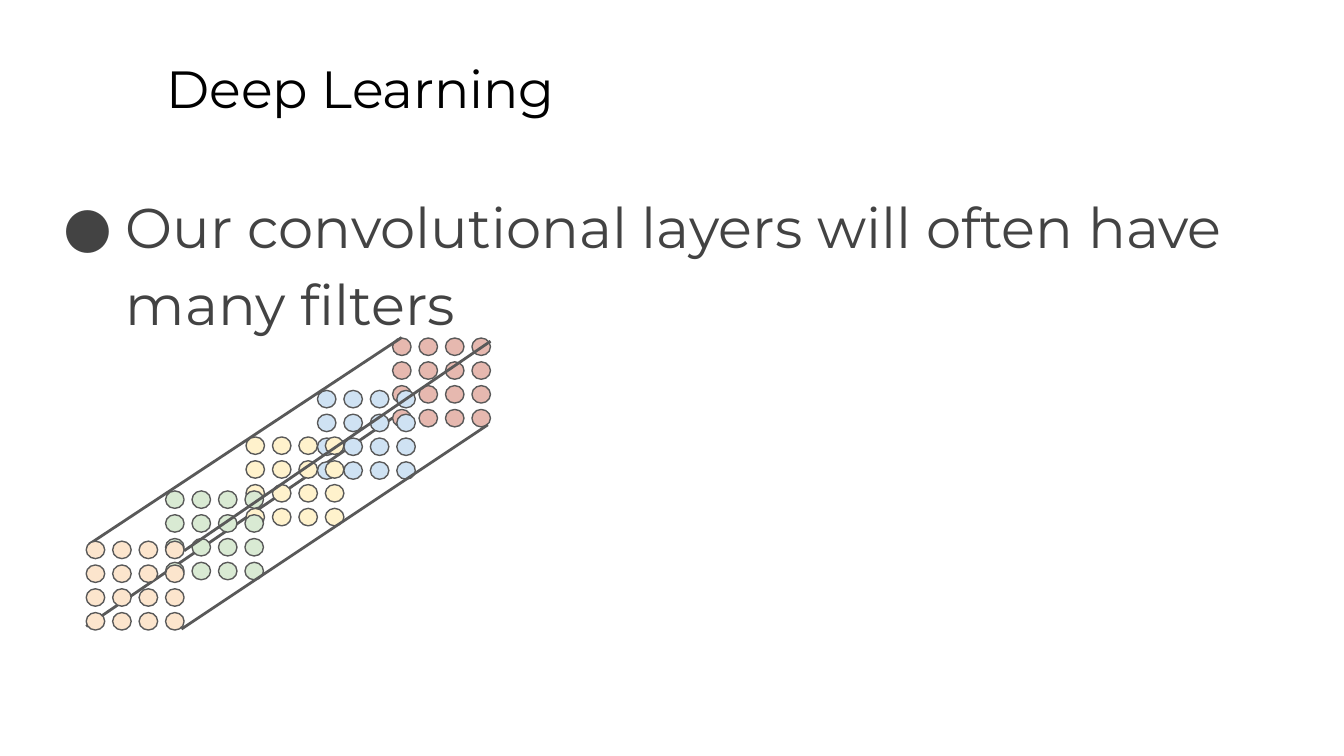
from dataclasses import dataclass

from lxml import etree
from pptx import Presentation
from pptx import util as u
from pptx.dml.color import RGBColor
from pptx.enum import shapes, text
from pptx.oxml import ns
from pptx.slide import Slide
from pptx.text.text import TextFrame

FONT = "Montserrat"
BLACK = RGBColor(0x00, 0x00, 0x00)
DARK_GRAY = RGBColor(0x43, 0x43, 0x43)
OUTLINE = RGBColor(0x59, 0x59, 0x59)
RED = RGBColor(0xE6, 0xB8, 0xAF)
BLUE = RGBColor(0xCF, 0xE2, 0xF3)
YELLOW = RGBColor(0xFF, 0xF2, 0xCC)
GREEN = RGBColor(0xD9, 0xEA, 0xD3)
ORANGE = RGBColor(0xFC, 0xE5, 0xCD)

GRID_SIZE = 4
COLUMN_STEP = 0.5
ROW_STEP = 0.45
NEURON_WIDTH = 0.35
NEURON_HEIGHT = 0.33


@dataclass(frozen=True)
class Filter:
    left: float
    top: float
    color: RGBColor


@dataclass(frozen=True)
class Edge:
    start_x: float
    start_y: float
    end_x: float
    end_y: float


BACK_EDGE = Edge(7.42, 7.9, 1.63, 11.84)
TOP_EDGE = Edge(7.59, 6.38, 1.68, 10.29)
FRONT_EDGES = [Edge(9.27, 6.45, 3.48, 10.41), Edge(9.22, 8.03, 3.43, 11.89)]
LAYERS = [
    BACK_EDGE,
    Filter(7.42, 6.39, RED),
    Filter(6.0, 7.38, BLUE),
    TOP_EDGE,
    Filter(4.65, 8.26, YELLOW),
    Filter(3.13, 9.28, GREEN),
    Filter(1.63, 10.23, ORANGE),
    *FRONT_EDGES,
]


def draw_filter(slide: Slide, item: Filter) -> None:
    for row in range(GRID_SIZE):
        for column in range(GRID_SIZE):
            neuron = slide.shapes.add_shape(
                shapes.MSO_SHAPE.OVAL,
                u.Cm(item.left + column * COLUMN_STEP),
                u.Cm(item.top + row * ROW_STEP),
                u.Cm(NEURON_WIDTH),
                u.Cm(NEURON_HEIGHT),
            )
            neuron.shadow.inherit = False
            neuron.fill.solid()
            neuron.fill.fore_color.rgb = item.color
            neuron.line.color.rgb = OUTLINE
            neuron.line.width = u.Pt(0.75)


def draw_edge(slide: Slide, edge: Edge) -> None:
    connector = slide.shapes.add_connector(
        shapes.MSO_CONNECTOR.STRAIGHT,
        u.Cm(edge.start_x),
        u.Cm(edge.start_y),
        u.Cm(edge.end_x),
        u.Cm(edge.end_y),
    )
    connector.line.color.rgb = OUTLINE
    connector.line.width = u.Pt(1.5)
    etree.SubElement(connector._element.spPr, ns.qn("a:effectLst"))


def write_text(frame: TextFrame, content: str, size: float, color: RGBColor) -> None:
    frame.word_wrap = True
    frame.auto_size = text.MSO_AUTO_SIZE.NONE
    frame.vertical_anchor = text.MSO_ANCHOR.TOP
    frame.margin_left = frame.margin_right = u.Cm(0.25)
    frame.margin_top = frame.margin_bottom = u.Cm(0.25)
    frame.text = content
    paragraph = frame.paragraphs[0]
    paragraph.alignment = text.PP_ALIGN.LEFT
    paragraph.font.name = FONT
    paragraph.font.size = u.Pt(size)
    paragraph.font.color.rgb = color


def add_title(slide: Slide) -> None:
    title = slide.shapes.title
    title.left, title.top = u.Cm(2.9), u.Cm(0.81)
    title.width, title.height = u.Cm(21.64), u.Cm(1.6)
    write_text(title.text_frame, "Deep Learning", 28, BLACK)


def add_bullet(slide: Slide) -> None:
    body = slide.shapes.add_textbox(u.Cm(0.86), u.Cm(3.2), u.Cm(23.67), u.Cm(2.9))
    content = "Our convolutional layers will often have many filters"
    write_text(body.text_frame, content, 30, DARK_GRAY)
    paragraph = body.text_frame.paragraphs[0]
    paragraph.line_spacing = 1.15
    properties = paragraph._p.get_or_add_pPr()
    properties.set("marL", str(u.Cm(1.27)))
    properties.set("indent", str(u.Cm(-1.17)))
    bullet_color = etree.Element(ns.qn("a:buClr"))
    etree.SubElement(bullet_color, ns.qn("a:srgbClr"), val=str(DARK_GRAY))
    bullet_font = etree.Element(ns.qn("a:buFont"), typeface=FONT)
    bullet = etree.Element(ns.qn("a:buChar"), char="●")
    spacing = properties.find(ns.qn("a:lnSpc"))
    for element in (bullet, bullet_font, bullet_color):
        spacing.addnext(element)


def main() -> None:
    presentation = Presentation()
    presentation.slide_width = u.Cm(25.4)
    presentation.slide_height = u.Cm(14.29)
    slide = presentation.slides.add_slide(presentation.slide_layouts.get_by_name("Title Only"))
    add_title(slide)
    add_bullet(slide)
    for layer in LAYERS:
        if isinstance(layer, Filter):
            draw_filter(slide, layer)
        else:
            draw_edge(slide, layer)
    presentation.save("out.pptx")


if __name__ == "__main__":
    main()
